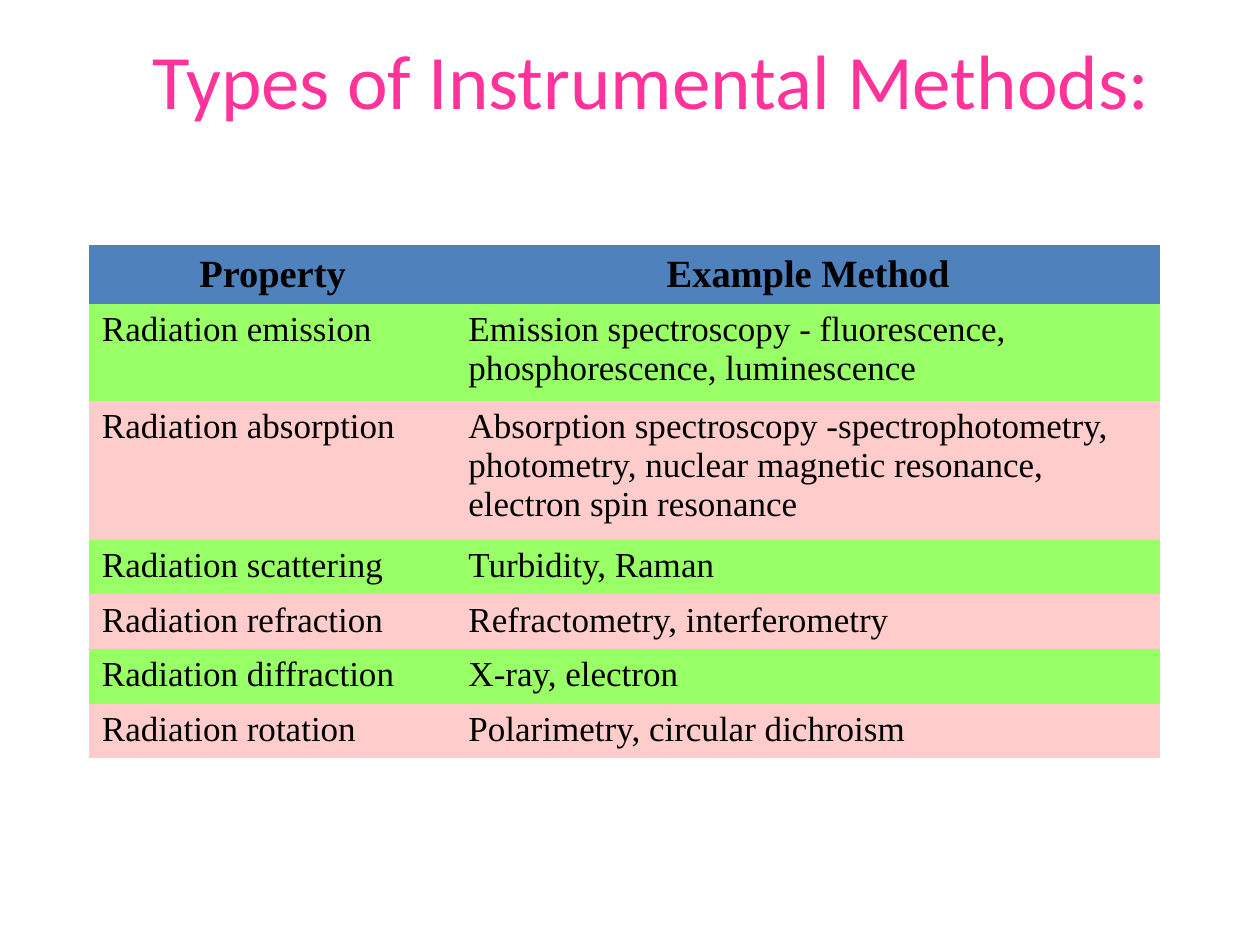
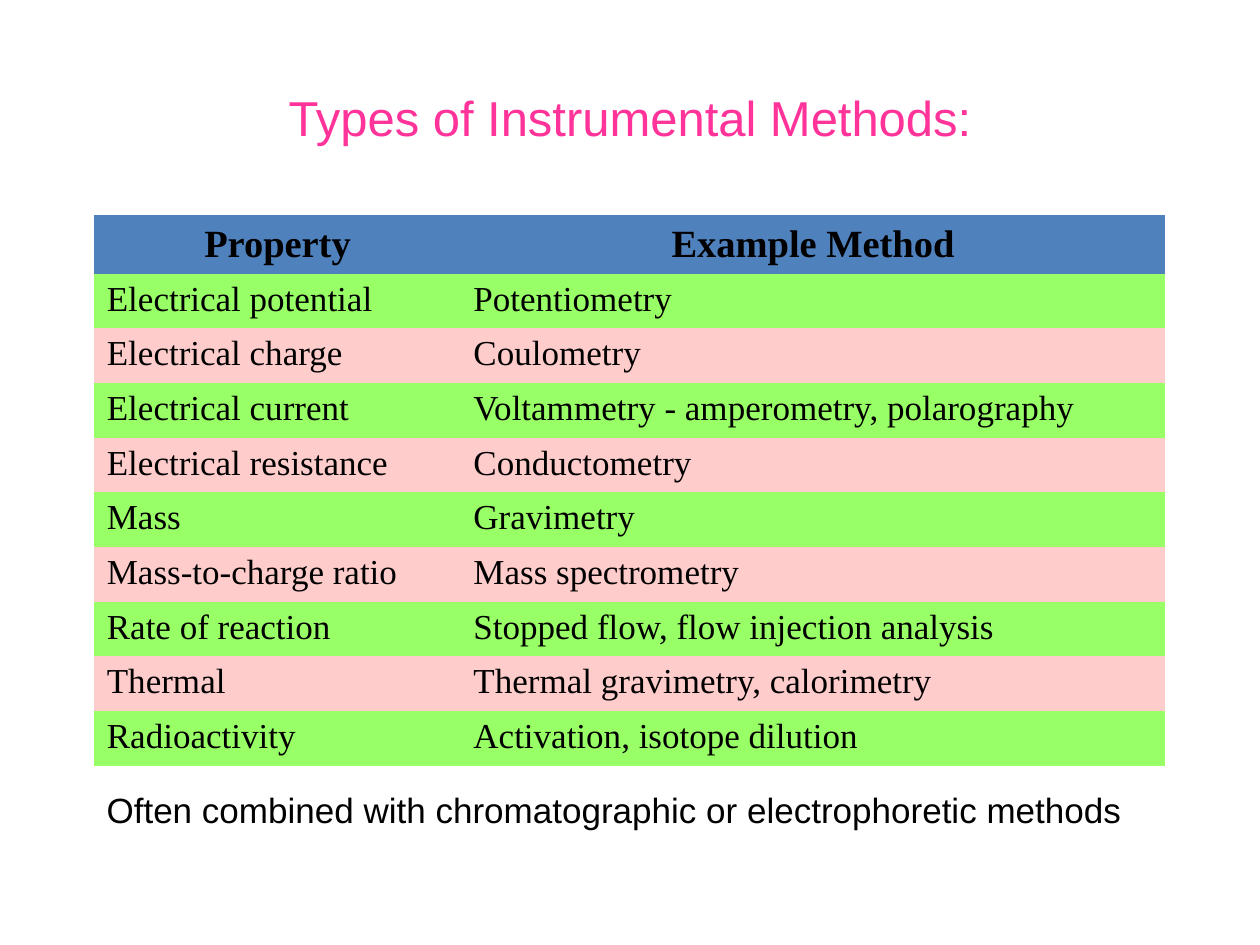
import pptx
import pptx.util
import pptx.dml.color
import pptx.enum.text

Cm = pptx.util.Cm
Pt = pptx.util.Pt
ALIGN = pptx.enum.text.PP_ALIGN
ANCHOR = pptx.enum.text.MSO_ANCHOR

COLOURS = {
    "title": "FF3399",
    "text": "000000",
    "header": "4F81BD",
    "odd": "99FF66",
    "even": "FFCCCC",
}
NO_GRID_STYLE = "{2D5ABB26-0587-4C30-8999-92F81FD0307C}"
HEADINGS = ("Property", "Example Method")
COLUMN_WIDTHS = (7.39, 14.2)
HEADER_HEIGHT = 1.18
LINE_HEIGHTS = {1: 1.1, 2: 1.96, 3: 2.78}

SLIDES = [
    {
        "title_at": (1.7, 0),
        "title_font": ("Calibri", 44),
        "table_at": (1.8, 4.94),
        "methods": [
            ("Radiation emission", "Emission spectroscopy - fluorescence, phosphorescence, luminescence", 2),
            ("Radiation absorption", "Absorption spectroscopy -spectrophotometry, photometry, "
             "nuclear magnetic resonance, electron spin resonance", 3),
            ("Radiation scattering", "Turbidity, Raman", 1),
            ("Radiation refraction", "Refractometry, interferometry", 1),
            ("Radiation diffraction", "X-ray, electron", 1),
            ("Radiation rotation", "Polarimetry, circular dichroism", 1),
        ],
        "note": None,
    },
    {
        "title_at": (1.27, 0.76),
        "title_font": ("Arial", 28),
        "table_at": (1.9, 4.33),
        "methods": [
            ("Electrical potential", "Potentiometry", 1),
            ("Electrical charge", "Coulometry", 1),
            ("Electrical current", "Voltammetry - amperometry, polarography", 1),
            ("Electrical resistance", "Conductometry", 1),
            ("Mass", "Gravimetry", 1),
            ("Mass-to-charge ratio", "Mass spectrometry", 1),
            ("Rate of reaction", "Stopped flow, flow injection analysis", 1),
            ("Thermal", "Thermal gravimetry, calorimetry", 1),
            ("Radioactivity", "Activation, isotope dilution", 1),
        ],
        "note": "Often combined with chromatographic or electrophoretic methods",
    },
]


def write(frame, text, font, size, colour, align=ALIGN.LEFT, bold=False):
    frame.word_wrap = True
    paragraph = frame.paragraphs[0]
    paragraph.text = text
    paragraph.alignment = align
    paragraph.font.name = font
    paragraph.font.size = Pt(size)
    paragraph.font.bold = bold
    paragraph.font.color.rgb = pptx.dml.color.RGBColor.from_string(COLOURS[colour])
    return paragraph


deck = pptx.Presentation()
deck.slide_width = Cm(25.4)
deck.slide_height = Cm(19.05)

for content in SLIDES:
    slide = deck.slides.add_slide(deck.slide_layouts[6])

    left, top = content["title_at"]
    title = slide.shapes.add_textbox(Cm(left), Cm(top), Cm(22.86), Cm(3.18)).text_frame
    title.vertical_anchor = ANCHOR.MIDDLE
    write(title, "Types of Instrumental Methods:", *content["title_font"], "title", ALIGN.CENTER)

    methods = content["methods"]
    heights = [HEADER_HEIGHT] + [LINE_HEIGHTS[lines] for _, _, lines in methods]
    left, top = content["table_at"]
    methods_frame = slide.shapes.add_table(
        len(heights), len(HEADINGS), Cm(left), Cm(top), Cm(sum(COLUMN_WIDTHS)), Cm(sum(heights)))
    methods_table = methods_frame.table
    methods_table.horz_banding = False
    methods_table._tbl.tblPr[0].text = NO_GRID_STYLE
    for column, width in zip(methods_table.columns, COLUMN_WIDTHS):
        column.width = Cm(width)

    rows = [HEADINGS] + [method[:2] for method in methods]
    for index, (texts, height) in enumerate(zip(rows, heights)):
        methods_table.rows[index].height = Cm(height)
        is_header = index == 0
        band = "header" if is_header else "odd" if index % 2 else "even"
        for cell, text in zip(methods_table.rows[index].cells, texts):
            cell.fill.solid()
            cell.fill.fore_color.rgb = pptx.dml.color.RGBColor.from_string(COLOURS[band])
            cell.vertical_anchor = ANCHOR.MIDDLE if is_header else ANCHOR.TOP
            write(cell.text_frame, text, "Times New Roman", 22 if is_header else 20, "text",
                  ALIGN.CENTER if is_header else ALIGN.LEFT, is_header)

    if content["note"]:
        note = slide.shapes.add_textbox(Cm(left), Cm(15.93), Cm(21.2), Cm(0.94)).text_frame
        write(note, content["note"], "Arial", 20, "text").line_spacing = 0.8

deck.save("out.pptx")
